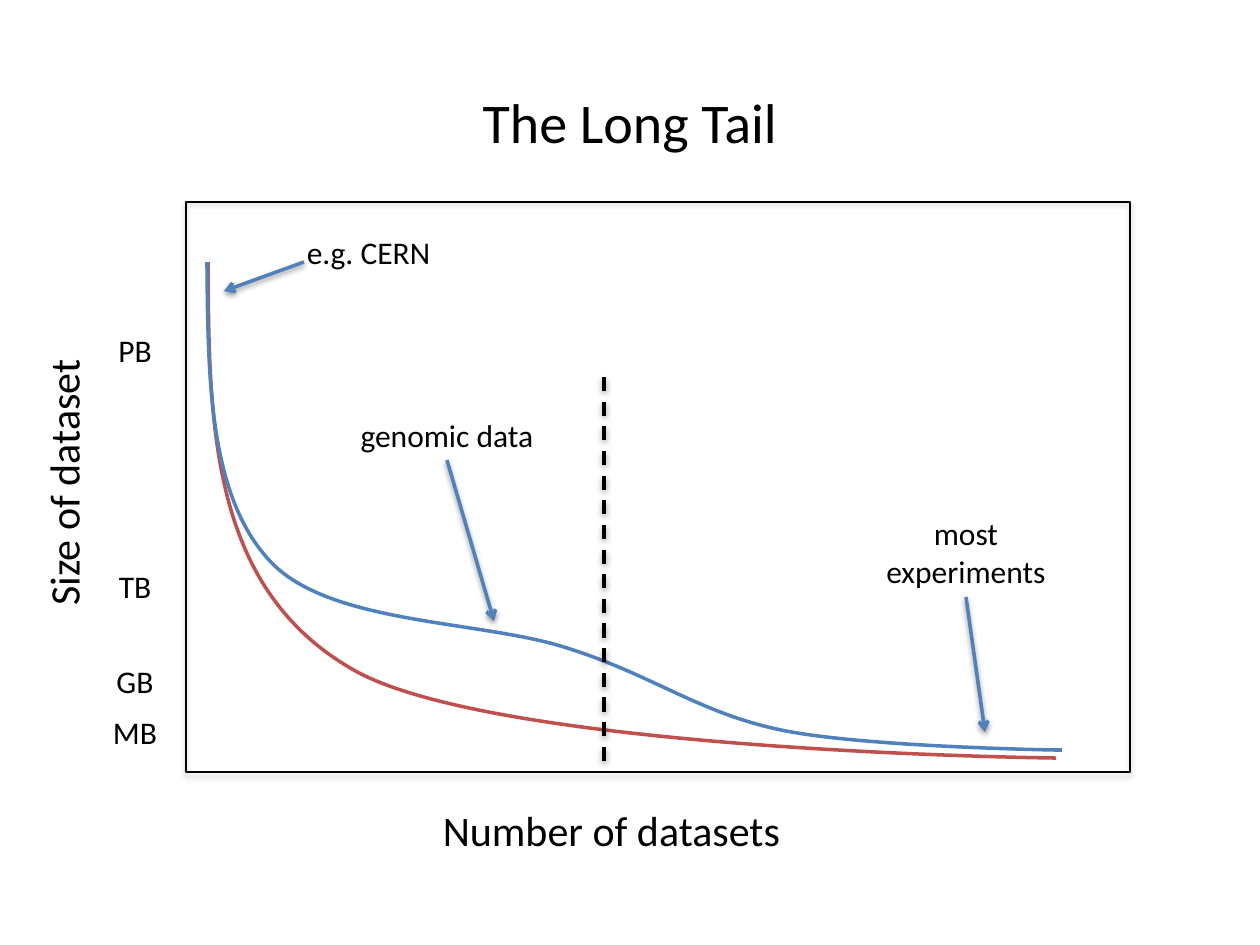
from lxml.etree import SubElement
from pptx import Presentation
from pptx.dml.color import RGBColor
from pptx.enum.dml import MSO_LINE
from pptx.enum.shapes import MSO_CONNECTOR, MSO_SHAPE
from pptx.enum.text import MSO_ANCHOR, MSO_AUTO_SIZE, PP_ALIGN
from pptx.oxml.ns import qn
from pptx.util import Emu, Pt

BLACK, BLUE, RED = "000000", "4F81BD", "C0504D"


def px(n):
    return Emu(round(n * 914400 / 126))


def color(code):
    return RGBColor.from_string(code)


def shade(shape, alpha, dist):
    """Give the shape a soft shadow straight below it."""
    props = shape._element.spPr
    for old in props.findall(qn("a:effectLst")):
        props.remove(old)
    effects = SubElement(props, qn("a:effectLst"))
    shadow = SubElement(effects, qn("a:outerShdw"), blurRad="40000",
                        dist=str(dist), dir="5400000", rotWithShape="0")
    tint = SubElement(shadow, qn("a:srgbClr"), val=BLACK)
    SubElement(tint, qn("a:alpha"), val=str(alpha * 1000))


class Sketch:
    font = "Calibri"
    weight = 2

    def __init__(self, slide):
        self.slide = slide
        self.shapes = slide.shapes

    def stroke(self, shape, code, weight=None):
        shape.line.color.rgb = color(code)
        shape.line.width = Pt(weight or self.weight)

    def letter(self, shape, text, size):
        frame = shape.text_frame
        frame.text = text
        para = frame.paragraphs[0]
        para.alignment = PP_ALIGN.CENTER
        look = {"name": self.font, "size": Pt(size)}
        for key, value in look.items():
            setattr(para.runs[0].font, key, value)
        para.runs[0].font.color.rgb = color(BLACK)

    def title(self, text, box, size):
        shape = self.shapes.title
        for key, n in zip(("left", "top", "width", "height"), box):
            setattr(shape, key, px(n))
        self.letter(shape, text, size)
        shape.text_frame.vertical_anchor = MSO_ANCHOR.MIDDLE

    def label(self, text, box, size=18, turn=0):
        shape = self.shapes.add_textbox(*map(px, box))
        shape.rotation = turn
        shape.text_frame.word_wrap = True
        shape.text_frame.auto_size = MSO_AUTO_SIZE.SHAPE_TO_FIT_TEXT
        self.letter(shape, text, size)
        return shape

    def frame(self, box):
        shape = self.shapes.add_shape(MSO_SHAPE.RECTANGLE, *map(px, box))
        shape.fill.background()
        self.stroke(shape, BLACK, 0.75)
        shade(shape, 35, 23000)

    def rule(self, start, end, code):
        line = self.shapes.add_connector(
            MSO_CONNECTOR.STRAIGHT, *map(px, start + end))
        self.stroke(line, code)
        shade(line, 38, 20000)
        return line

    def arrow(self, start, end, source=None):
        line = self.rule(start, end, BLUE)
        SubElement(line.line._get_or_add_ln(), qn("a:tailEnd"), type="arrow")
        if source is not None:
            line.begin_connect(source, 2)

    def curve(self, start, points, code):
        """Draw cubic curves; each three points are two handles and an end."""
        pen = self.shapes.build_freeform(*map(px, start))
        pen.add_line_segments([(px(x), px(y)) for x, y in points], close=False)
        shape = pen.convert_to_shape()
        trace = shape._element.find(".//" + qn("a:path"))
        steps = trace.findall(qn("a:lnTo"))
        for i in range(0, len(steps), 3):
            bend = SubElement(trace, qn("a:cubicBezTo"))
            for step in steps[i:i + 3]:
                bend.append(step[0])
                trace.remove(step)
        shape.fill.background()
        shape.shadow.inherit = False
        self.stroke(shape, code)


def main():
    deck = Presentation()
    deck.slide_width, deck.slide_height = px(1260), px(945)
    art = Sketch(deck.slides.add_slide(deck.slide_layouts[5]))

    art.title("The Long Tail", (0, 81, 1260, 81), 32)
    art.frame((186, 202, 944, 570))
    art.label("Number of datasets", (304, 798, 615, 63), 24)
    art.label("Size of dataset", (-199, 451, 524, 63), 24, 270)

    art.curve((208, 262), [(209, 425), (210, 587), (352, 669),
                           (493, 752), (1056, 758), (1056, 758)], RED)
    art.curve((207, 262), [(208, 379), (209, 496), (270, 561),
                           (329, 625), (481, 620), (567, 648),
                           (653, 675), (699, 713), (781, 730),
                           (862, 747), (1055, 750), (1055, 750),
                           (1057, 750), (1060, 750), (1062, 750)], BLUE)

    most = art.label("most experiments", (839, 508, 254, 89))
    art.arrow((966, 597), (985, 732), most)
    genes = art.label("genomic data", (320, 410, 254, 50))
    art.arrow((447, 460), (494, 621), genes)
    art.label("e.g. CERN", (291, 227, 155, 50))
    art.arrow((304, 262), (224, 291))

    split = art.rule((604, 377), (604, 772), BLACK)
    split.line.dash_style = MSO_LINE.DASH

    for unit, top in {"PB": 325, "TB": 561, "GB": 656, "MB": 707}.items():
        art.label(unit, (98, top, 74, 50))

    deck.save("out.pptx")


if __name__ == "__main__":
    main()
